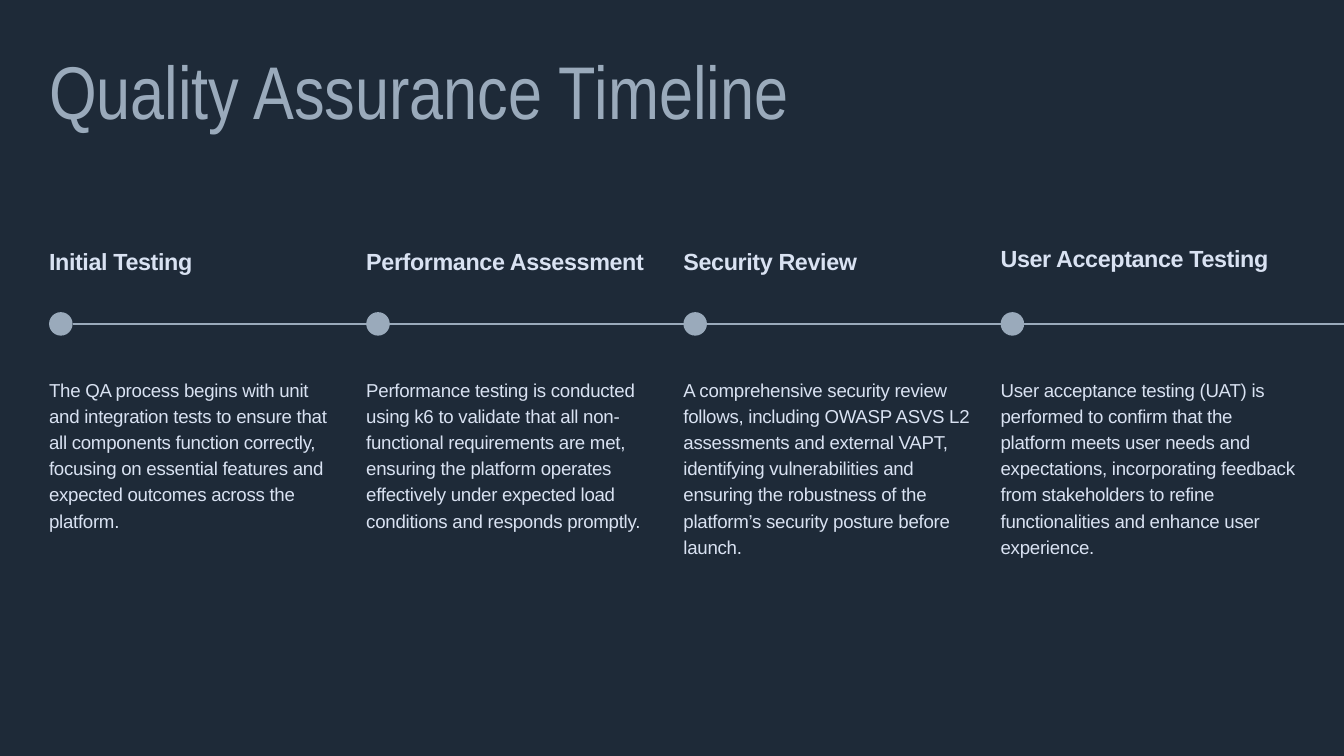
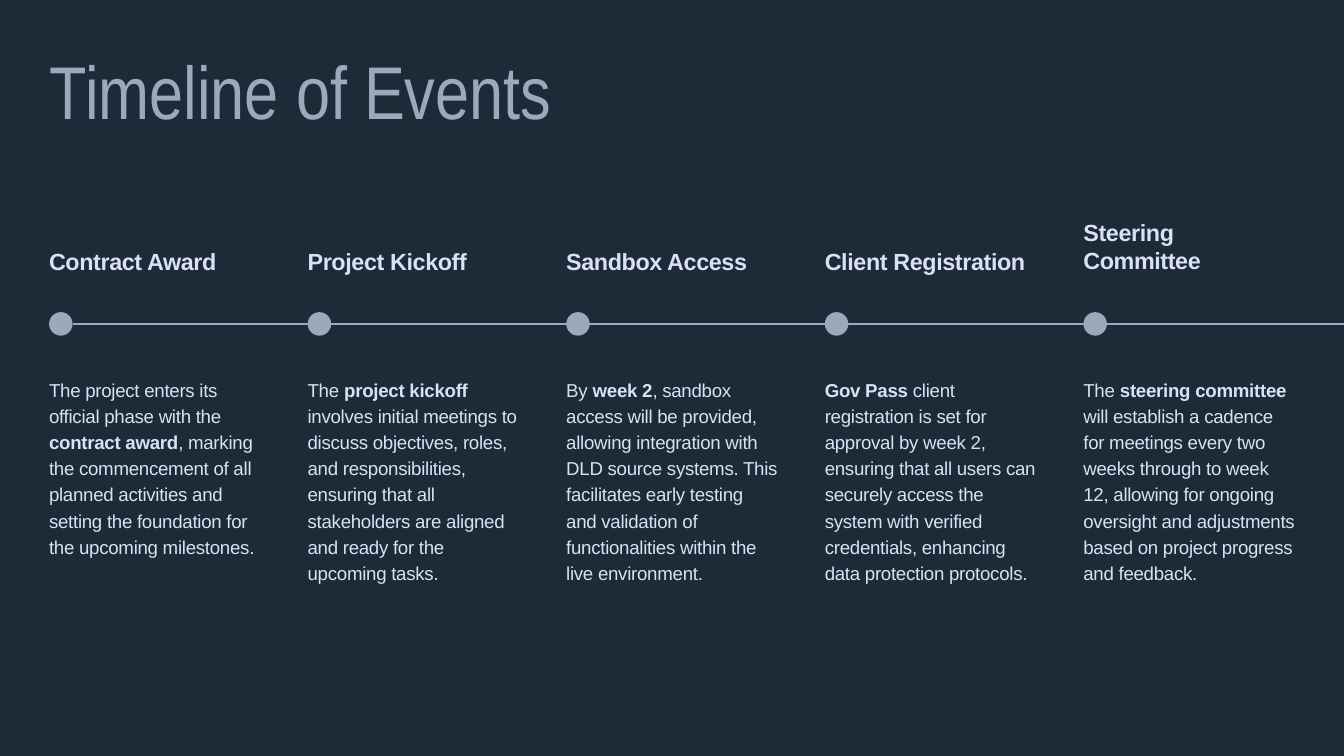
from dataclasses import dataclass

from lxml.etree import SubElement
from pptx import Presentation
from pptx.dml.color import RGBColor
from pptx.enum.shapes import MSO_CONNECTOR as Connector, MSO_SHAPE as Preset
from pptx.enum.text import MSO_ANCHOR as Anchor, MSO_AUTO_SIZE as AutoSize, PP_ALIGN as Align
from pptx.oxml.ns import qn
from pptx.util import Inches, Pt


@dataclass(frozen=True)
class TextStyle:
    font: str
    size: int
    line_spacing: int
    color: RGBColor
    bold: bool = False
    tracking: float = 0


@dataclass(frozen=True)
class Theme:
    background: RGBColor
    accent: RGBColor
    title: TextStyle
    heading: TextStyle
    body: TextStyle


@dataclass(frozen=True)
class Milestone:
    heading: str
    body: str  # text between ** marks is bold
    body_lines: int
    heading_lines: int = 1
    raised: float = 0


@dataclass(frozen=True)
class Timeline:
    title: str
    gap: float
    milestones: tuple[Milestone, ...]


# Colours and type sizes
SLATE = RGBColor.from_string("9AAABB")
PALE = RGBColor.from_string("D9E2F2")
THEME = Theme(
    background=RGBColor.from_string("1E2A38"),
    accent=SLATE,
    title=TextStyle("Arial Narrow", 80, 80, SLATE),
    heading=TextStyle("Arial", 25, 30, PALE, bold=True, tracking=-0.4),
    body=TextStyle("Arial", 20, 28, PALE, tracking=-0.3),
)

# Layout in inches
SLIDE_WIDTH, SLIDE_HEIGHT = 20, 11.25
MARGIN = 0.73
CONTENT_WIDTH = SLIDE_WIDTH - 2 * MARGIN
TITLE_TOP, TITLE_HEIGHT = 0.89, 1.17
HEADING_BOTTOM, HEADING_LINE = 4.11, 0.43
AXIS_Y, DOT_SIZE = 4.82, 0.35
BODY_TOP = 5.58

TIMELINES = (
    Timeline("Quality Assurance Timeline", 0.34, (
        Milestone(
            "Initial Testing",
            "The QA process begins with unit and integration tests to ensure that all "
            "components function correctly, focusing on essential features and expected "
            "outcomes across the platform.", 6),
        Milestone(
            "Performance Assessment",
            "Performance testing is conducted using k6 to validate that all non-functional "
            "requirements are met, ensuring the platform operates effectively under expected "
            "load conditions and responds promptly.", 6),
        Milestone(
            "Security Review",
            "A comprehensive security review follows, including OWASP ASVS L2 assessments "
            "and external VAPT, identifying vulnerabilities and ensuring the robustness of "
            "the platform’s security posture before launch.", 7),
        Milestone(
            "User Acceptance Testing",
            "User acceptance testing (UAT) is performed to confirm that the platform meets "
            "user needs and expectations, incorporating feedback from stakeholders to refine "
            "functionalities and enhance user experience.", 7, raised=0.05),
    )),
    Timeline("Timeline of Events", 0.7, (
        Milestone(
            "Contract Award",
            "The project enters its official phase with the **contract award**, marking the "
            "commencement of all planned activities and setting the foundation for the "
            "upcoming milestones.", 7),
        Milestone(
            "Project Kickoff",
            "The **project kickoff** involves initial meetings to discuss objectives, roles, "
            "and responsibilities, ensuring that all stakeholders are aligned and ready for "
            "the upcoming tasks.", 8),
        Milestone(
            "Sandbox Access",
            "By **week 2**, sandbox access will be provided, allowing integration with DLD "
            "source systems. This facilitates early testing and validation of "
            "functionalities within the live environment.", 8),
        Milestone(
            "Client Registration",
            "**Gov Pass** client registration is set for approval by week 2, ensuring that "
            "all users can securely access the system with verified credentials, enhancing "
            "data protection protocols.", 8),
        Milestone(
            "Steering Committee",
            "The **steering committee** will establish a cadence for meetings every two "
            "weeks through to week 12, allowing for ongoing oversight and adjustments based "
            "on project progress and feedback.", 8, heading_lines=2),
    )),
)


def set_values(target, values: dict) -> None:
    for name, value in values.items():
        setattr(target, name, value)


def write_text(shape, text: str, style: TextStyle) -> None:
    """Fill a shape with one paragraph; text between ** marks is bold."""
    frame = shape.text_frame
    set_values(frame, {
        "margin_left": 0, "margin_right": 0, "margin_top": 0, "margin_bottom": 0,
        "word_wrap": True, "auto_size": AutoSize.SHAPE_TO_FIT_TEXT,
        "vertical_anchor": Anchor.TOP,
    })
    paragraph = frame.paragraphs[0]
    set_values(paragraph, {
        "alignment": Align.LEFT, "line_spacing": Pt(style.line_spacing),
        "space_before": Pt(0),
    })
    for index, part in enumerate(text.split("**")):
        if not part:
            continue
        run = paragraph.add_run()
        run.text = part
        set_values(run.font, {
            "name": style.font, "size": Pt(style.size),
            "bold": style.bold or index % 2 == 1,
        })
        run.font.color.rgb = style.color
        if style.tracking:
            run._r.get_or_add_rPr().set("spc", str(round(style.tracking * 100)))


def add_text(slide, left: float, top: float, width: float, height: float,
             text: str, style: TextStyle) -> None:
    box = slide.shapes.add_textbox(Inches(left), Inches(top), Inches(width), Inches(height))
    write_text(box, text, style)


def place_title(slide, text: str) -> None:
    title = slide.shapes.title
    set_values(title, {
        "left": Inches(MARGIN), "top": Inches(TITLE_TOP),
        "width": Inches(CONTENT_WIDTH), "height": Inches(TITLE_HEIGHT),
    })
    write_text(title, text, THEME.title)


def add_axis(slide) -> None:
    axis = slide.shapes.add_connector(
        Connector.STRAIGHT, Inches(MARGIN + DOT_SIZE), Inches(AXIS_Y),
        Inches(SLIDE_WIDTH), Inches(AXIS_Y))
    axis.line.color.rgb = THEME.accent
    axis.line.width = Pt(1.5)
    SubElement(axis._element.spPr, qn("a:effectLst"))


def add_dot(slide, left: float) -> None:
    dot = slide.shapes.add_shape(
        Preset.OVAL, Inches(left), Inches(AXIS_Y - DOT_SIZE / 2),
        Inches(DOT_SIZE), Inches(DOT_SIZE))
    dot.shadow.inherit = False
    dot.fill.solid()
    dot.fill.fore_color.rgb = THEME.accent
    dot.line.fill.background()


def add_milestone(slide, milestone: Milestone, left: float, width: float) -> None:
    heading_height = milestone.heading_lines * HEADING_LINE
    heading_top = HEADING_BOTTOM - heading_height - milestone.raised
    body_height = milestone.body_lines * THEME.body.line_spacing / 72
    add_text(slide, left, heading_top, width, heading_height, milestone.heading, THEME.heading)
    add_dot(slide, left)
    add_text(slide, left, BODY_TOP, width, body_height, milestone.body, THEME.body)


def add_timeline_slide(presentation, timeline: Timeline) -> None:
    title_only = presentation.slide_layouts.get_by_name("Title Only")
    slide = presentation.slides.add_slide(title_only)
    place_title(slide, timeline.title)
    add_axis(slide)
    # Equal columns across the content width
    pitch = (CONTENT_WIDTH + timeline.gap) / len(timeline.milestones)
    for column, milestone in enumerate(timeline.milestones):
        add_milestone(slide, milestone, MARGIN + column * pitch, pitch - timeline.gap)


def main() -> None:
    presentation = Presentation()
    presentation.slide_width = Inches(SLIDE_WIDTH)
    presentation.slide_height = Inches(SLIDE_HEIGHT)
    # Shared background
    background = presentation.slide_master.background.fill
    background.solid()
    background.fore_color.rgb = THEME.background
    for timeline in TIMELINES:
        add_timeline_slide(presentation, timeline)
    presentation.save("out.pptx")


if __name__ == "__main__":
    main()
